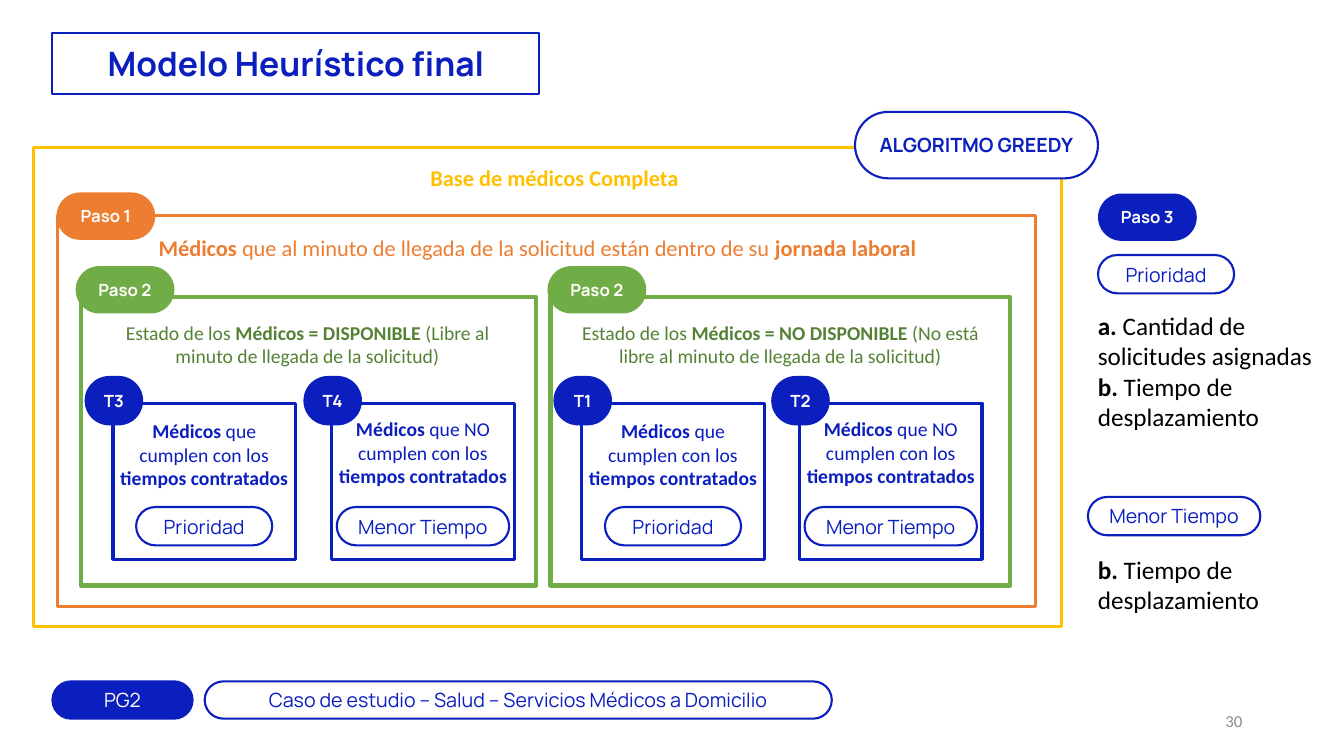
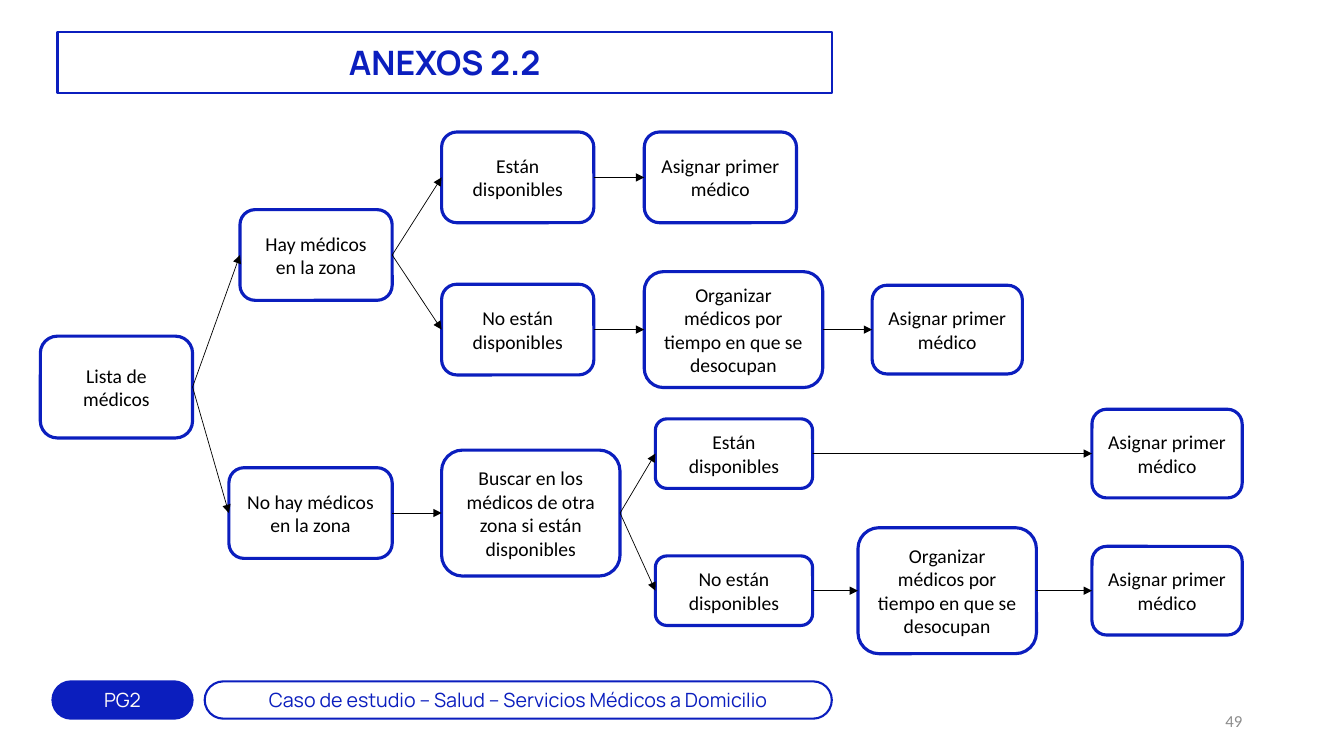
"""Build two slides: the heuristic model with nested groups, and the decision tree of the annex."""
from lxml.etree import SubElement
from pptx import Presentation
from pptx.dml.color import RGBColor
from pptx.enum.shapes import MSO_CONNECTOR, MSO_SHAPE
from pptx.enum.text import MSO_ANCHOR, MSO_AUTO_SIZE, PP_ALIGN
from pptx.oxml import parse_xml
from pptx.oxml.ns import nsdecls, qn
from pptx.util import Inches, Pt

COLORS = {
    "blue": "0B1EBE", "cream": "FFFBF9", "white": "FFFFFF", "black": "000000", "gray": "8C8C8C",
    "yellow": "FFC000", "orange": "ED7D31", "green": "70AD47", "dark_green": "548235",
}
HEADING_FONT, BODY_FONT = "Manrope", "Calibri"
TITLE_ONLY_LAYOUT = 5

FOOTER_LABEL = "PG2"
FOOTER_TEXT = "Caso de estudio – Salud – Servicios Médicos a Domicilio"

MODEL = {"title": "Modelo Heurístico final", "title_box": (0.52, 0.33, 4.83, 0.6), "number": "30"}
TREE = {"title": "ANEXOS 2.2", "title_box": (0.57, 0.32, 7.68, 0.6), "number": "49"}

FRAMES = [
    ((0.33, 1.46, 10.2, 4.76), "yellow", 2.25),
    ((0.57, 2.14, 9.7, 3.88), "orange", 2.25),
    ((0.8, 2.95, 4.52, 2.86), "green", 3),
    ((5.46, 2.95, 4.56, 2.86), "green", 3),
]
CAPTIONS = [
    ((3.5, 1.58, 4, 0.37), "**Base de médicos Completa**", 16, "yellow"),
    ((1.4, 2.27, 7.86, 0.37),
     "**Médicos** que al minuto de llegada de la solicitud están dentro de su **jornada laboral**",
     16, "orange"),
    ((0.93, 3.13, 4.24, 0.57),
     "Estado de los **Médicos = DISPONIBLE** (Libre al minuto de llegada de la solicitud)",
     14, "dark_green"),
    ((5.62, 3.13, 4.24, 0.57),
     "Estado de los **Médicos = NO DISPONIBLE** (No está libre al minuto de llegada de la solicitud)",
     14, "dark_green"),
]
MEETS = "**Médicos** que cumplen con los **tiempos contratados**"
FAILS = "**Médicos** que NO cumplen con los **tiempos contratados**"
PRIORITY, LESS_TIME = "Prioridad", "Menor Tiempo"
RULE_WIDTHS = {PRIORITY: 1.35, LESS_TIME: 1.71}
RULE_HEIGHT = 0.38
GROUPS = [
    ("T3", 1.12, 4.11, MEETS, PRIORITY),
    ("T4", 3.29, 4.09, FAILS, LESS_TIME),
    ("T1", 5.77, 4.11, MEETS, PRIORITY),
    ("T2", 7.93, 4.09, FAILS, LESS_TIME),
]
GROUP_TOP, GROUP_WIDTH, GROUP_HEIGHT = 4, 1.81, 1.55
STEPS = [
    ("Paso 1", 0.56, 1.91, "orange"),
    ("Paso 2", 0.75, 2.64, "green"),
    ("Paso 2", 5.43, 2.64, "green"),
    ("Paso 3", 10.89, 1.92, "blue"),
]
LEGEND_RULES = [(PRIORITY, 10.89, 2.53), (LESS_TIME, 10.79, 4.93)]
LEGEND_TEXTS = [
    ((10.79, 3.03, 2.56, 1.31),
     ["**a.** Cantidad de solicitudes asignadas", "**b.** Tiempo de desplazamiento"]),
    ((10.79, 5.45, 1.86, 0.71), ["**b.** Tiempo de desplazamiento"]),
]

ASSIGN = "Asignar primer médico"
AVAILABLE, UNAVAILABLE = "Están disponibles", "No están disponibles"
SORT = "Organizar médicos por tiempo en que se desocupan"
SEARCH = "Buscar en los médicos de otra zona si están disponibles"
ROWS = {
    "zone_free": 1.76, "zone": 2.53, "zone_busy": 3.27, "start": 3.84,
    "other_free": 4.5, "other": 5.09, "other_busy": 5.86,
}
NODES = {
    "list": ("Lista de médicos", "start", 0.4, 1.51, 1.01),
    "zone": ("Hay médicos en la zona", "zone", 2.38, 1.51, 0.9),
    "no_zone": ("No hay médicos en la zona", "other", 2.27, 1.62, 0.9),
    "zone_free": (AVAILABLE, "zone_free", 4.38, 1.51, 0.9),
    "zone_free_assign": (ASSIGN, "zone_free", 6.39, 1.51, 0.9),
    "zone_busy": (UNAVAILABLE, "zone_busy", 4.38, 1.51, 0.9),
    "zone_sort": (SORT, "zone_busy", 6.39, 1.77, 1.15),
    "zone_busy_assign": (ASSIGN, "zone_busy", 8.65, 1.49, 0.88),
    "search": (SEARCH, "other", 4.38, 1.77, 1.25),
    "other_free": (AVAILABLE, "other_free", 6.5, 1.56, 0.69),
    "other_free_assign": (ASSIGN, "other_free", 10.83, 1.49, 0.88),
    "other_busy": (UNAVAILABLE, "other_busy", 6.5, 1.56, 0.69),
    "other_sort": (SORT, "other_busy", 8.51, 1.77, 1.25),
    "other_busy_assign": (ASSIGN, "other_busy", 10.83, 1.49, 0.88),
}
BRANCHES = {
    "list": ["zone", "no_zone"],
    "zone": ["zone_free", "zone_busy"],
    "zone_free": ["zone_free_assign"],
    "zone_busy": ["zone_sort"],
    "zone_sort": ["zone_busy_assign"],
    "no_zone": ["search"],
    "search": ["other_free", "other_busy"],
    "other_free": ["other_free_assign"],
    "other_busy": ["other_sort"],
    "other_sort": ["other_busy_assign"],
}


def rgb(name):
    """Return the named colour."""
    return RGBColor.from_string(COLORS[name])


def write_text(shape, *lines, size=14, font=BODY_FONT, color="black", bold=False,
               align=PP_ALIGN.CENTER, anchor=MSO_ANCHOR.MIDDLE, inset=0.05):
    """Write one paragraph per line; text between double asterisks is bold."""
    frame = shape.text_frame
    frame.word_wrap = True
    frame.auto_size = MSO_AUTO_SIZE.NONE
    frame.vertical_anchor = anchor
    frame.margin_left = frame.margin_right = Inches(0.1)
    frame.margin_top = frame.margin_bottom = Inches(inset)
    for index, line in enumerate(lines):
        paragraph = frame.add_paragraph() if index else frame.paragraphs[0]
        paragraph.alignment = align
        for position, part in enumerate(line.split("**")):
            if part:
                run = paragraph.add_run()
                run.text = part
                run.font.size = Pt(size)
                run.font.name = font
                run.font.bold = bold or position % 2 == 1
                run.font.color.rgb = rgb(color)


def style_shape(shape, fill=None, line=None, width=1.5):
    """Set fill and outline, each absent when no colour is given."""
    if fill:
        shape.fill.solid()
        shape.fill.fore_color.rgb = rgb(fill)
    else:
        shape.fill.background()
    if line:
        shape.line.color.rgb = rgb(line)
        shape.line.width = Pt(width)
    else:
        shape.line.fill.background()


def add_box(slide, box, kind=MSO_SHAPE.RECTANGLE, **style):
    """Add a flat preset shape."""
    shape = slide.shapes.add_shape(kind, *map(Inches, box))
    shape.shadow.inherit = False
    style_shape(shape, **style)
    return shape


def add_pill(slide, box, text, fill=None, line="blue", color="blue", size=14, bold=False):
    """Add a fully rounded label."""
    pill = add_box(slide, box, MSO_SHAPE.ROUNDED_RECTANGLE, fill=fill, line=line)
    pill.adjustments[0] = 0.5
    write_text(pill, text, size=size, font=HEADING_FONT, color=color, bold=bold, inset=0.1)


def add_badge(slide, box, text, fill, line=None):
    """Add a filled pill with small bold text."""
    add_pill(slide, box, text, fill=fill, line=line, color="cream", size=12, bold=True)


def add_rule(slide, text, left, top):
    """Add the pill that names a selection rule."""
    add_pill(slide, (left, top, RULE_WIDTHS[text], RULE_HEIGHT), text, fill="white")


def add_text(slide, box, *lines, **text_format):
    """Add a wrapped text box."""
    write_text(slide.shapes.add_textbox(*map(Inches, box)), *lines, **text_format)


def add_slide(presentation, content):
    """Add a slide with its title pill, footer pills and number."""
    slide = presentation.slides.add_slide(presentation.slide_layouts[TITLE_ONLY_LAYOUT])
    title = slide.shapes.title
    title.left, title.top, title.width, title.height = map(Inches, content["title_box"])
    title.element.spPr.append(parse_xml(
        f'<a:prstGeom {nsdecls("a")} prst="roundRect"><a:avLst>'
        '<a:gd name="adj" fmla="val 50000"/></a:avLst></a:prstGeom>'))
    style_shape(title, line="blue")
    write_text(title, content["title"], size=24, font=HEADING_FONT, color="blue",
               bold=True, inset=0.1)
    add_pill(slide, (0.52, 6.76, 1.39, 0.37), FOOTER_LABEL, fill="blue", color="cream")
    add_pill(slide, (2.03, 6.76, 6.22, 0.37), FOOTER_TEXT)
    add_text(slide, (9.42, 6.95, 3, 0.4), content["number"], size=12, color="gray",
             align=PP_ALIGN.RIGHT)
    return slide


def add_arrow(slide, source, target):
    """Join the right side of one node to the left side of another."""
    arrow = slide.shapes.add_connector(MSO_CONNECTOR.STRAIGHT, 0, 0, 0, 0)
    arrow.begin_connect(source, 3)
    arrow.end_connect(target, 1)
    arrow.line.color.rgb = rgb("black")
    arrow.line.width = Pt(0.5)
    SubElement(arrow.line._get_or_add_ln(), qn("a:tailEnd"), type="triangle")
    SubElement(arrow.element.spPr, qn("a:effectLst"))


def build_model(presentation):
    """Build the nested groups and the legend of rules."""
    slide = add_slide(presentation, MODEL)
    for box, color, width in FRAMES:
        add_box(slide, box, line=color, width=width)
    add_pill(slide, (8.48, 1.11, 2.41, 0.66), "ALGORITMO GREEDY", fill="white", bold=True)
    for box, text, size, color in CAPTIONS:
        add_text(slide, box, text, size=size, color=color, anchor=MSO_ANCHOR.TOP)
    for label, left, text_top, text, rule in GROUPS:
        add_box(slide, (left, GROUP_TOP, GROUP_WIDTH, GROUP_HEIGHT), line="blue", width=2.25)
        add_text(slide, (left - 0.05, text_top, GROUP_WIDTH + 0.1, 0.81), text,
                 color="blue", anchor=MSO_ANCHOR.TOP)
        add_rule(slide, rule, left + (GROUP_WIDTH - RULE_WIDTHS[rule]) / 2, 5.03)
        add_badge(slide, (left - 0.27, 3.74, 0.56, 0.47), label, "blue", line="blue")
    for label, left, top, color in STEPS:
        add_badge(slide, (left, top, 0.98, 0.47), label, color)
    for rule, left, top in LEGEND_RULES:
        add_rule(slide, rule, left, top)
    for box, lines in LEGEND_TEXTS:
        add_text(slide, box, *lines, size=18, align=PP_ALIGN.LEFT, anchor=MSO_ANCHOR.TOP)


def build_tree(presentation):
    """Build the decision tree."""
    slide = add_slide(presentation, TREE)
    nodes = {}
    for name, (text, row, left, width, height) in NODES.items():
        box = (left, ROWS[row] - height / 2, width, height)
        nodes[name] = add_box(slide, box, MSO_SHAPE.ROUNDED_RECTANGLE, line="blue", width=2.25)
        write_text(nodes[name], text)
    for source, targets in BRANCHES.items():
        for target in targets:
            add_arrow(slide, nodes[source], nodes[target])


def main():
    """Create and save the presentation."""
    presentation = Presentation()
    presentation.slide_width, presentation.slide_height = Inches(13.33), Inches(7.5)
    build_model(presentation)
    build_tree(presentation)
    presentation.save("out.pptx")


if __name__ == "__main__":
    main()
